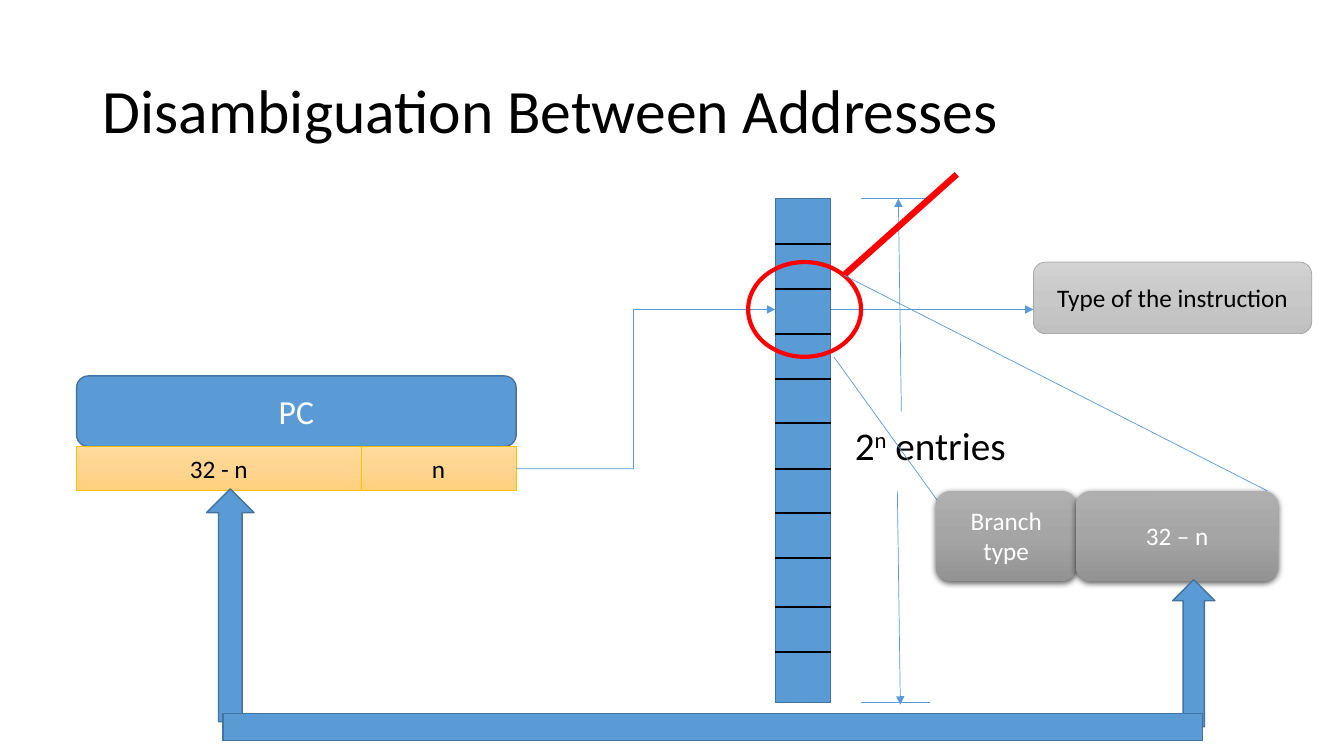
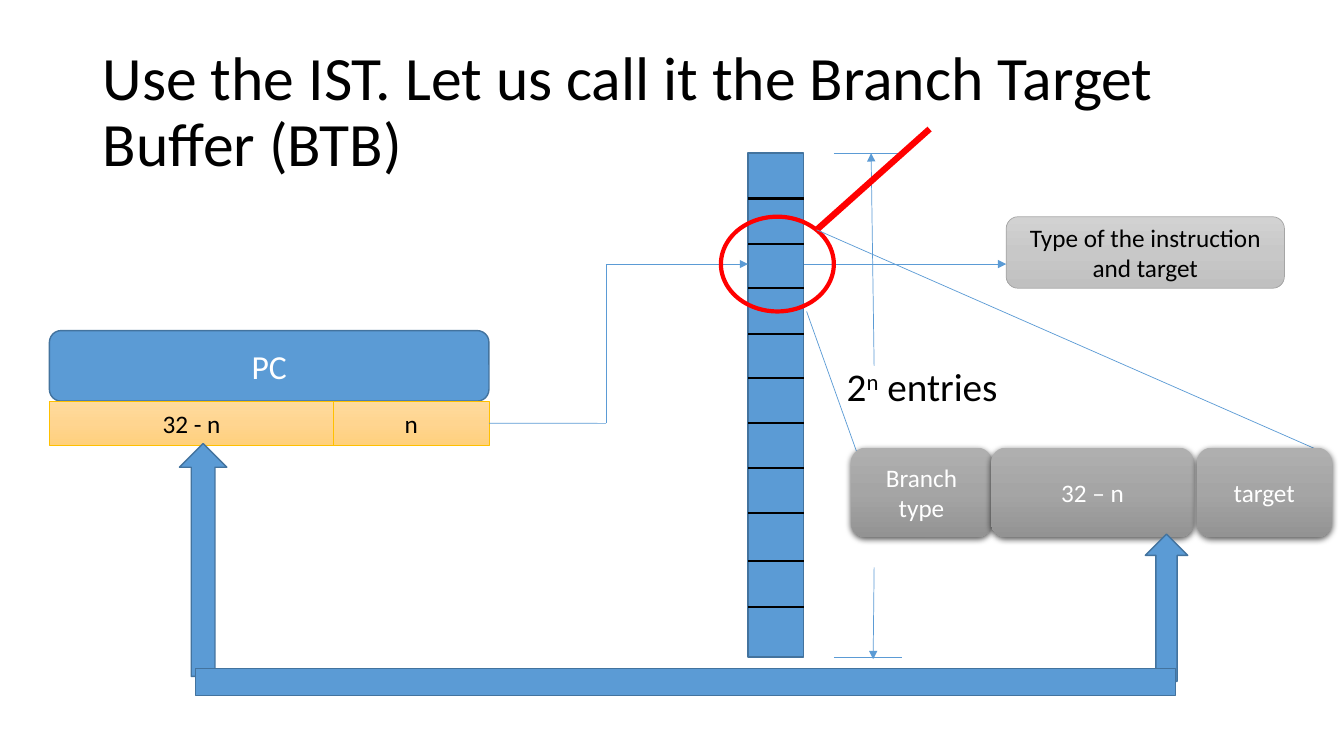
import copy

import pptx
import pptx.dml.color
import pptx.enum.dml
import pptx.enum.shapes
import pptx.enum.text
import pptx.oxml.ns
import pptx.util
from lxml import etree

Inches = pptx.util.Inches
Pt = pptx.util.Pt
qn = pptx.oxml.ns.qn
SHAPE = pptx.enum.shapes.MSO_SHAPE
ALIGN = pptx.enum.text.PP_ALIGN
ANCHOR = pptx.enum.text.MSO_ANCHOR
AUTO_SIZE = pptx.enum.text.MSO_AUTO_SIZE

COLOURS = {
    "black": "000000", "white": "FFFFFF", "red": "FF0000",
    "blue": "5B9BD5", "blue edge": "43739E",
    "gold edge": "FFC000", "grey edge": "A5A5A5",
}
GRADIENTS = {
    "gold": ("FFDB9E", "FFD590", "FFD07C"),
    "pale grey": ("D2D2D2", "C8C8C8", "C0C0C0"),
    "dark grey": ("AFAFAF", "A5A5A5", "939393"),
}
# fill, edge, edge width, text colour, text size
STYLES = {
    "blue": ("blue", "blue edge", 1, "white", 24),
    "address": ("gold", "gold edge", 0.5, "black", 18),
    "result": ("pale grey", "grey edge", 0.5, "black", 18),
    "entry": ("dark grey", None, 0, "white", 18),
    "ring": (None, "red", 3, "black", 18),
}


def rgb(name):
    return pptx.dml.color.RGBColor.from_string(COLOURS[name])


class Diagram:
    """Draws on the current slide, moving everything but the title by a shift."""

    def __init__(self):
        self.deck = pptx.Presentation()
        self.deck.slide_width = Inches(13.33)
        self.deck.slide_height = Inches(7.5)
        self.page = None
        self.shift = (0, 0)

    def start(self, title, shift):
        self.page = self.deck.slides.add_slide(self.deck.slide_layouts[5])
        self.shift = shift
        box = self.page.shapes.title
        places = {"left": 0.92, "top": 0.4, "width": 11.5, "height": 1.45}
        for name, value in places.items():
            setattr(box, name, Inches(value))
        box.text_frame.auto_size = AUTO_SIZE.NONE
        box.text_frame.vertical_anchor = ANCHOR.MIDDLE
        self.fill_text(box.text_frame, [title], "black", 44, ALIGN.LEFT)
        box.text_frame.paragraphs[0].line_spacing = 0.9

    def place(self, left, top):
        return Inches(left + self.shift[0]), Inches(top + self.shift[1])

    def format_font(self, font, colour, size):
        for name, value in {"name": "Calibri", "size": Pt(size)}.items():
            setattr(font, name, value)
        font.color.rgb = rgb(colour)

    def fill_text(self, frame, lines, colour, size, align):
        for index, line in enumerate(lines):
            para = frame.add_paragraph() if index else frame.paragraphs[0]
            para.alignment = align
            span = para.add_run()
            span.text = line
            self.format_font(span.font, colour, size)

    def paint(self, box, fill):
        if fill is None:
            box.fill.background()
        elif fill in COLOURS:
            box.fill.solid()
            box.fill.fore_color.rgb = rgb(fill)
        else:
            box.fill.gradient()
            box.fill.gradient_angle = 270
            stops = box._element.spPr.find(".//" + qn("a:gsLst"))
            stops.append(copy.deepcopy(stops[-1]))
            for index, stop in enumerate(box.fill.gradient_stops):
                stop.position = index / 2
                stop.color.rgb = pptx.dml.color.RGBColor.from_string(GRADIENTS[fill][index])

    def block(self, kind, style, left, top, width, height, *lines):
        fill, edge, edge_width, colour, size = STYLES[style]
        box = self.page.shapes.add_shape(
            kind, *self.place(left, top), Inches(width), Inches(height))
        self.paint(box, fill)
        if edge:
            box.line.color.rgb = rgb(edge)
            box.line.width = Pt(edge_width)
        else:
            box.line.fill.background()
        box.shadow.inherit = False
        box.text_frame.vertical_anchor = ANCHOR.MIDDLE
        self.fill_text(box.text_frame, lines, colour, size, ALIGN.CENTER)
        return box

    def entry(self, left, top, width, text):
        box = self.block(SHAPE.ROUNDED_RECTANGLE, "entry", left, top, width, 0.89, text)
        effects = box._element.spPr.find(qn("a:effectLst"))
        shadow = etree.SubElement(
            effects, qn("a:outerShdw"), blurRad=str(Pt(4.5)), dist=str(Pt(1.5)),
            dir="5400000", algn="ctr", rotWithShape="0")
        tone = etree.SubElement(shadow, qn("a:srgbClr"), val=COLOURS["black"])
        etree.SubElement(tone, qn("a:alpha"), val="63000")

    def line(self, start, end, colour="blue", width=0.5, arrow=False):
        link = self.page.shapes.add_connector(
            pptx.enum.shapes.MSO_CONNECTOR.STRAIGHT, *self.place(*start), *self.place(*end))
        link.line.color.rgb = rgb(colour)
        link.line.width = Pt(width)
        properties = link._element.spPr
        if arrow:
            etree.SubElement(properties.find(qn("a:ln")), qn("a:tailEnd"), type="triangle")
        etree.SubElement(properties, qn("a:effectLst"))
        return link

    def entry_count(self, left, top):
        box = self.page.shapes.add_textbox(*self.place(left, top), Inches(1.73), Inches(0.57))
        box.text_frame.word_wrap = False
        box.text_frame.auto_size = AUTO_SIZE.SHAPE_TO_FIT_TEXT
        para = box.text_frame.paragraphs[0]
        for text, baseline in (("2", 0), ("n", 30000), (" entries", 0)):
            span = para.add_run()
            span.text = text
            self.format_font(span.font, "black", 28)
            if baseline:
                span.font._element.set("baseline", str(baseline))

    def lookup(self, result, count_at, lower_arrow_start, entries, zoom_ends):
        """Draw the program counter, the table it indexes and one enlarged entry."""
        self.block(SHAPE.ROUNDED_RECTANGLE, "blue", 0.76, 3.73, 4.36, 0.7, "PC")
        self.block(SHAPE.RECTANGLE, "address", 0.76, 4.43, 2.82, 0.44, "32 - n")
        index_bits = self.block(SHAPE.RECTANGLE, "address", 3.58, 4.43, 1.54, 0.44, "n")

        left, right, top, bottom = 7.69, 8.24, 1.97, 6.97
        self.block(SHAPE.RECTANGLE, "blue", left, top, right - left, bottom - top)
        for row in range(10):
            y = top + 0.45 * (row + 1) - (0 if row > 7 else 0.01 * (row // 2))
            self.line((left, y), (right, y), "black", 1.5)

        bend, hit = 6.28, 3.07
        self.line((5.12, 4.65), (bend, 4.65)).begin_connect(index_bits, 3)
        self.line((bend, 4.65), (bend, hit))
        self.line((bend, hit), (left, hit), arrow=True)
        self.block(SHAPE.ROUNDED_RECTANGLE, "result", 10.25, 2.6, 2.76, 0.71, *result)
        self.line((right, hit), (10.25, hit), arrow=True)

        for y in (top, bottom):
            self.line((8.54, y), (9.22, y))
        self.line((8.94, 4.08), (8.91, top), arrow=True)
        self.line(lower_arrow_start, (8.93, 6.99), arrow=True)
        self.entry_count(*count_at)

        self.block(SHAPE.OVAL, "ring", 7.42, 2.6, 1.12, 0.94)
        self.line((8.37, 2.73), (9.49, 1.73), "red", 4.5)
        for start, end in zip(((8.37, 2.73), (8.27, 3.54)), zoom_ends):
            self.line(start, end)
        for entry in entries:
            self.entry(*entry)

        self.block(SHAPE.UP_ARROW, "blue", 2.05, 4.85, 0.47, 2.31)
        self.block(SHAPE.UP_ARROW, "blue", 11.63, 5.75, 0.42, 1.46)
        self.block(SHAPE.RECTANGLE, "blue", 2.21, 7.08, 9.72, 0.27)


def main():
    diagram = Diagram()
    diagram.start("Disambiguation Between Addresses", (0, 0))
    diagram.lookup(
        result=["Type of the instruction"],
        count_at=(8.38, 4.13),
        lower_arrow_start=(8.9, 4.87),
        entries=[(9.28, 4.87, 1.4, "Branch type"), (10.67, 4.87, 2.01, "32 – n")],
        zoom_ends=[(12.57, 4.87), (9.3, 4.97)])

    diagram.start("Use the IST. Let us call it the Branch Target Buffer (BTB)", (-0.27, -0.45))
    diagram.lookup(
        result=["Type of the instruction", "and target"],
        count_at=(8.57, 4),
        lower_arrow_start=(8.94, 6.08),
        entries=[(8.71, 4.89, 1.4, "Branch type"), (10.1, 4.89, 2.01, "32 – n"),
                 (12.14, 4.89, 1.34, "target")],
        zoom_ends=[(13.4, 4.94), (8.78, 4.97)])
    diagram.deck.save("out.pptx")


if __name__ == "__main__":
    main()
